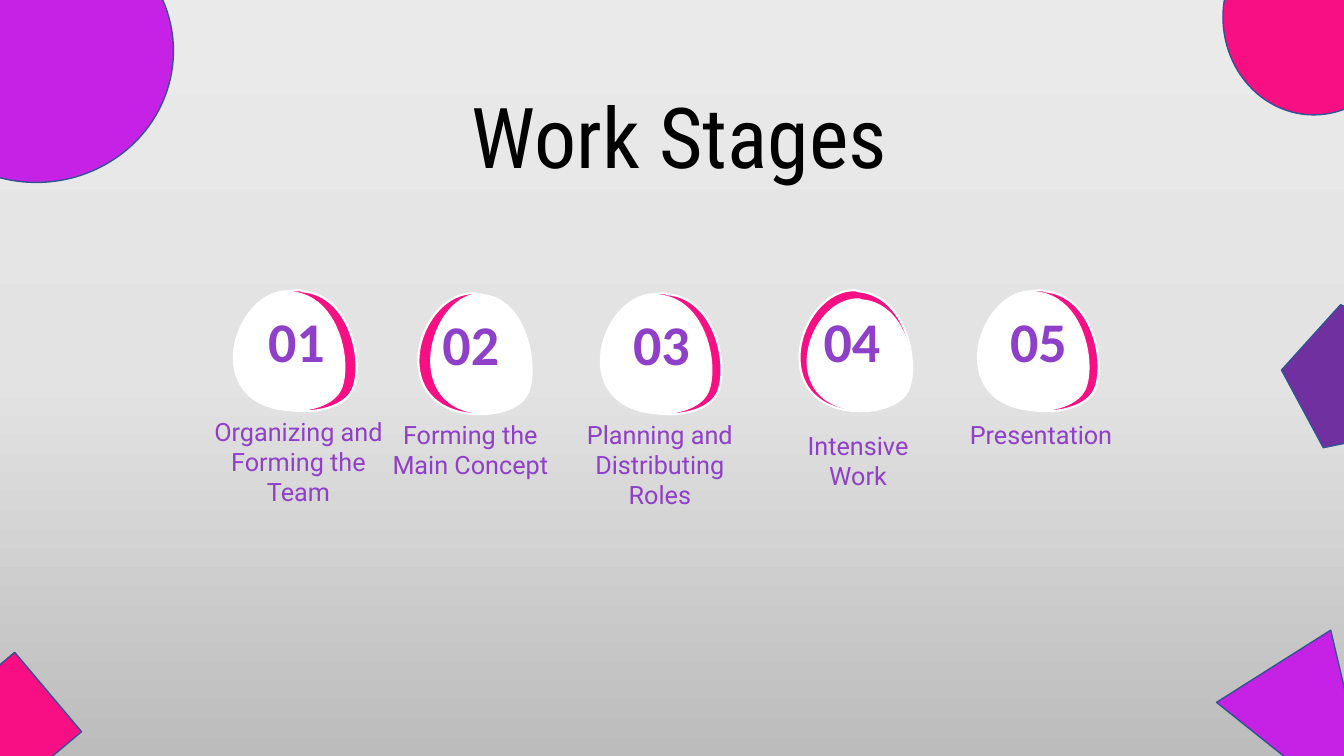
"""Build the "Work Stages" slide: five numbered blobs with captions and corner decorations."""
import copy
from dataclasses import dataclass

from lxml import etree
from pptx import Presentation
from pptx import util as u
from pptx.dml.color import RGBColor
from pptx.enum import shapes, text
from pptx.oxml.ns import qn

PX = 9144
PINK, VIOLET, PURPLE, WHITE = "F90F84", "C522E6", "8E40C8", "FFFFFF"
BLOB_WIDTH, BLOB_HEIGHT = 134, 120
BLOB_START = (69, 0)
BLOB_CURVES = [
    ((30, 0), (0, 60), (23, 96)),
    ((34, 113), (55, 120), (75, 120)),
    ((97, 120), (117, 112), (123, 98)),
    ((134, 72), (121, 5), (73, 1)),
    ((72, 0), (71, 0), (69, 0)),
]


@dataclass(frozen=True)
class Box:
    """A rectangle in px."""
    x: int
    y: int
    width: int
    height: int

    def emu(self) -> list[u.Emu]:
        """Return the rectangle in EMU."""
        return [u.Emu(v * PX) for v in (self.x, self.y, self.width, self.height)]


@dataclass(frozen=True)
class Decoration:
    """A preset shape at the slide's edge."""
    preset: shapes.MSO_SHAPE
    box: Box
    color: str
    rotation: float = 0


@dataclass(frozen=True)
class Stage:
    """A numbered stage: pink blob, white blob over it and caption."""
    rim: Box
    face: Box
    caption: str
    caption_box: Box


@dataclass(frozen=True)
class Style:
    """The look of a text."""
    font: str
    size: int
    color: str
    bold: bool = False


TITLE = Style("Roboto Condensed", 60, "000000")
NUMBER = Style("Calibri", 40, PURPLE, True)
CAPTION = Style("Roboto", 18, PURPLE)

DECORATIONS = [
    Decoration(shapes.MSO_SHAPE.OVAL, Box(-100, -80, 272, 261), VIOLET),
    Decoration(shapes.MSO_SHAPE.OVAL, Box(1213, -80, 180, 194), PINK),
    Decoration(shapes.MSO_SHAPE.ISOSCELES_TRIANGLE, Box(1248, 646, 134, 194), VIOLET, 147.7),
    Decoration(shapes.MSO_SHAPE.REGULAR_PENTAGON, Box(1265, 309, 143, 132), "7030A0", 276.9),
    Decoration(shapes.MSO_SHAPE.RECTANGLE, Box(-59, 674, 121, 103), PINK, 319.9),
]


def blob(x: int, y: int, width: int = BLOB_WIDTH, height: int = BLOB_HEIGHT) -> Box:
    """Return a blob's box, full size unless told otherwise."""
    return Box(x, y, width, height)


STAGES = [
    Stage(blob(227, 288), blob(216, 288),
          "Organizing and Forming the Team", Box(195, 408, 202, 101)),
    Stage(blob(400, 291), blob(413, 291, width=122),
          "Forming the Main Concept", Box(376, 411, 181, 71)),
    Stage(blob(589, 291), blob(580, 291),
          "Planning and Distributing Roles", Box(548, 411, 213, 101)),
    Stage(blob(778, 288), blob(786, 296, 126, 112),
          "Intensive Work", Box(784, 422, 134, 71)),
    Stage(blob(963, 288), blob(954, 288),
          "Presentation", Box(950, 411, 165, 40)),
]


def rgb(color: str) -> RGBColor:
    """Turn a hex string into a colour."""
    return RGBColor.from_string(color)


def paint(shape, fill: str, line: str | None = None, points: float = 1) -> None:
    """Set fill and line, and drop the shadow."""
    shape.shadow.inherit = False
    shape.fill.solid()
    shape.fill.fore_color.rgb = rgb(fill)
    if line is None:
        shape.line.fill.background()
    else:
        shape.line.color.rgb = rgb(line)
        shape.line.width = u.Pt(points)


def add_text(slide, box: Box, words: str, style: Style, anchor=text.MSO_ANCHOR.TOP):
    """Add a centred, wrapping text and return its frame."""
    frame = slide.shapes.add_textbox(*box.emu()).text_frame
    frame.word_wrap = True
    frame.vertical_anchor = anchor
    paragraph = frame.paragraphs[0]
    paragraph.text = words
    paragraph.alignment = text.PP_ALIGN.CENTER
    font = paragraph.font
    font.name, font.size, font.bold = style.font, u.Pt(style.size), style.bold
    font.color.rgb = rgb(style.color)
    return frame


def outline_letters(paragraph, color: str, points: float) -> None:
    """Give the letters of a paragraph a thin outline."""
    properties = paragraph._p.xpath("a:pPr/a:defRPr")[0]
    line = etree.Element(qn("a:ln"), w=str(int(u.Pt(points))))
    solid = etree.SubElement(line, qn("a:solidFill"))
    etree.SubElement(solid, qn("a:srgbClr"), val=color)
    properties.insert(0, line)


def bend(shape) -> None:
    """Turn each three line segments of a freeform into one Bézier curve."""
    segments = shape._element.xpath(".//a:lnTo")
    for first in range(0, len(segments), 3):
        curve = etree.Element(qn("a:cubicBezTo"))
        segments[first].addprevious(curve)
        for segment in segments[first:first + 3]:
            curve.append(segment[0])
            segment.getparent().remove(segment)


def add_blob(slide, box: Box, fill: str, line: str | None = None) -> None:
    """Draw the blob fitted to a box."""
    start, *controls = [
        (round((box.x + x * box.width / BLOB_WIDTH) * PX),
         round((box.y + y * box.height / BLOB_HEIGHT) * PX))
        for x, y in [BLOB_START, *sum(BLOB_CURVES, ())]
    ]
    builder = slide.shapes.build_freeform(*start)
    builder.add_line_segments(controls, close=True)
    shape = builder.convert_to_shape()
    bend(shape)
    paint(shape, fill, line, 1.5)


def add_stage(slide, number: int, stage: Stage) -> None:
    """Draw one stage's blobs and number."""
    add_blob(slide, stage.rim, PINK, WHITE)
    add_blob(slide, stage.face, WHITE)
    number_box = Box(stage.rim.x - 8, stage.rim.y + 19, 150, 60)
    frame = add_text(slide, number_box, f"{number:02}", NUMBER, text.MSO_ANCHOR.MIDDLE)
    frame.margin_top = frame.margin_bottom = u.Emu(10 * PX)
    outline_letters(frame.paragraphs[0], WHITE, 0.75)


def add_background(slide) -> None:
    """Fill the background with a vertical grey gradient."""
    fill = slide.background.fill
    fill.gradient()
    fill.gradient_angle = 270
    stops = slide._element.xpath("p:cSld/p:bg//a:gsLst")[0]
    stops.append(copy.deepcopy(stops[0]))
    shades = ((0, "EBEAEA"), (0.5, "E4E3E3"), (1, "BDBCBC"))
    for stop, (position, color) in zip(fill.gradient_stops, shades):
        stop.position = position
        stop.color.rgb = rgb(color)


def main() -> None:
    """Build and save the slide."""
    deck = Presentation()
    deck.slide_width, deck.slide_height = u.Emu(1333 * PX), u.Emu(750 * PX)
    slide = deck.slides.add_slide(deck.slide_layouts[6])
    add_background(slide)
    title = add_text(slide, Box(174, -71, 1000, 261), "Work Stages", TITLE, text.MSO_ANCHOR.BOTTOM)
    title.paragraphs[0].line_spacing = 0.9
    for item in DECORATIONS:
        shape = slide.shapes.add_shape(item.preset, *item.box.emu())
        shape.rotation = item.rotation
        paint(shape, item.color, "325491")
    for number, stage in enumerate(STAGES, 1):
        add_stage(slide, number, stage)
    for stage in STAGES:
        frame = add_text(slide, stage.caption_box, stage.caption, CAPTION)
        frame.auto_size = text.MSO_AUTO_SIZE.SHAPE_TO_FIT_TEXT
    deck.save("out.pptx")


if __name__ == "__main__":
    main()
